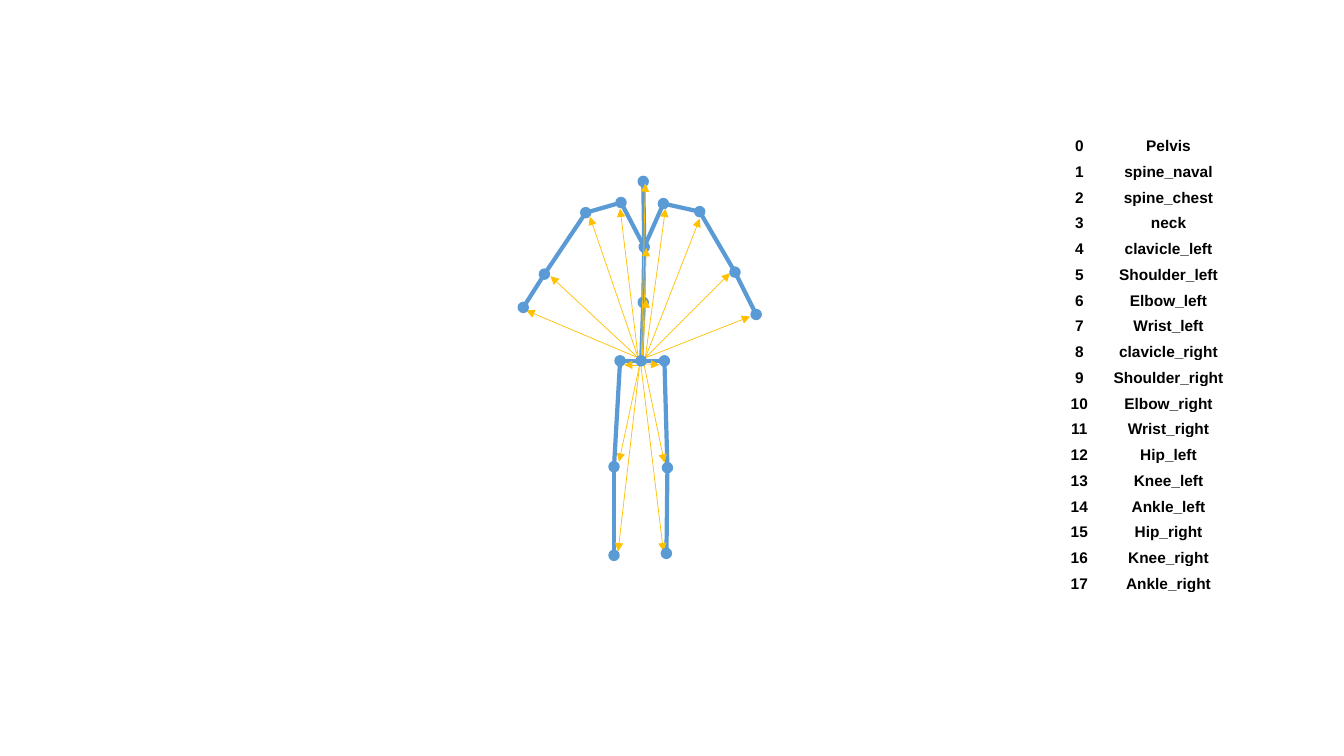
from lxml import etree
from pptx import Presentation
from pptx.dml.color import RGBColor
from pptx.enum.shapes import MSO_CONNECTOR, MSO_SHAPE
from pptx.enum.text import PP_ALIGN
from pptx.oxml.ns import qn
from pptx.util import Inches, Pt

BLUE = RGBColor(0x5B, 0x9B, 0xD5)
GOLD = RGBColor(0xFF, 0xC0, 0x00)
BLACK = RGBColor(0x00, 0x00, 0x00)
LINE = MSO_CONNECTOR.STRAIGHT
ROUND = MSO_SHAPE.FLOWCHART_CONNECTOR
CENTER = PP_ALIGN.CENTER
UNIT = Inches(0.01)
COLS, ROWS = 1333, 750

JOINTS = {
    "wrist_l": (519, 305), "elbow_l": (540, 272), "arm_l": (581, 211),
    "clav_l": (616, 201), "hip_l": (615, 358), "knee_l": (609, 463),
    "foot_l": (609, 551), "wrist_r": (750, 312), "elbow_r": (729, 270),
    "arm_r": (694, 210), "clav_r": (658, 202), "hip_r": (659, 358),
    "knee_r": (662, 464), "foot_r": (661, 549), "head": (638, 180),
    "chest": (639, 245), "naval": (638, 300), "pelvis": (636, 358),
}
CHAINS = [
    ["head", "chest", "naval", "pelvis"],
    ["chest", "clav_l", "arm_l", "elbow_l", "wrist_l"],
    ["chest", "clav_r", "arm_r", "elbow_r", "wrist_r"],
    ["pelvis", "hip_l", "knee_l", "foot_l"],
    ["pelvis", "hip_r", "knee_r", "foot_r"],
]
LIMB_RAYS = [
    ((633, 355), [(522, 308), (546, 274), (585, 215), (615, 207)]),
    ((640, 355), [(660, 207), (694, 217), (724, 271), (744, 314)]),
    ((633, 362), [(619, 362)]),
    ((640, 361), [(654, 362)]),
    ((635, 359), [(614, 458)]),
    ((638, 358), [(659, 459)]),
    ((635, 357), [(613, 547), (658, 547)]),
]
TRUNK_RAYS = [
    ((636, 358), [(640, 182)]),
    ((637, 356), [(641, 246), (641, 297)]),
]
NAMES = [
    "Pelvis", "spine_naval", "spine_chest", "neck",
    "clavicle_left", "Shoulder_left", "Elbow_left", "Wrist_left",
    "clavicle_right", "Shoulder_right", "Elbow_right", "Wrist_right",
    "Hip_left", "Knee_left", "Ankle_left",
    "Hip_right", "Knee_right", "Ankle_right",
]


class Sketch:
    """Draws styled elements on one slide, in columns and rows of its grid."""

    def __init__(self, slide):
        self.shapes = slide.shapes
        self.font = "Arial"
        self.size = Pt(11)
        self.dot_size = 10

    def line(self, start, end, color, width):
        ends = [UNIT * n for n in (*start, *end)]
        line = self.shapes.add_connector(LINE, *ends)
        line.line.color.rgb = color
        line.line.width = Pt(width)
        etree.SubElement(line._element.spPr, qn("a:effectLst"))
        return line

    def bone(self, start, end):
        self.line(start, end, BLUE, 3)

    def rays(self, groups):
        for start, tips in groups:
            for tip in tips:
                ray = self.line(start, tip, GOLD, 0.5)
                stroke = ray.line._get_or_add_ln()
                etree.SubElement(stroke, qn("a:tailEnd"), type="triangle")

    def dot(self, center):
        size = self.dot_size
        left, top = [UNIT * (n - size / 2) for n in center]
        dot = self.shapes.add_shape(
            ROUND, int(left), int(top), UNIT * size, UNIT * size)
        dot.shadow.inherit = False
        dot.fill.solid()
        dot.fill.fore_color.rgb = BLUE
        dot.line.color.rgb = BLUE
        dot.line.width = Pt(1)

    def table(self, left, top, widths, height, rows):
        table = self.shapes.add_table(
            len(rows), len(widths), UNIT * left, UNIT * top,
            UNIT * sum(widths), UNIT * height * len(rows)).table
        table.first_row = False
        table.horz_banding = False
        for column, width in zip(table.columns, widths):
            column.width = UNIT * width
        for row, texts in zip(table.rows, rows):
            row.height = UNIT * height
            for cell, text in zip(row.cells, texts):
                self.cell(cell, text)

    def cell(self, cell, text):
        cell.fill.background()
        cell.margin_left = cell.margin_right = UNIT * 7
        cell.margin_top = cell.margin_bottom = 0
        cell.text_frame.text = text
        para = cell.text_frame.paragraphs[0]
        para.alignment = CENTER
        para.line_spacing = 1.5
        font = para.runs[0].font
        font.name = self.font
        font.size = self.size
        font.bold = True
        font.color.rgb = BLACK


def main():
    deck = Presentation()
    deck.slide_width = UNIT * COLS
    deck.slide_height = UNIT * ROWS
    sketch = Sketch(deck.slides.add_slide(deck.slide_layouts[6]))
    for chain in CHAINS:
        for start, end in zip(chain, chain[1:]):
            sketch.bone(JOINTS[start], JOINTS[end])
    rows = [(str(index), name) for index, name in enumerate(NAMES)]
    sketch.table(1050, 128, (41, 136), 22, rows)
    sketch.rays(LIMB_RAYS)
    for name, center in JOINTS.items():
        if name != "pelvis":
            sketch.dot(center)
    sketch.rays(TRUNK_RAYS)
    sketch.dot(JOINTS["pelvis"])
    deck.save("out.pptx")


if __name__ == "__main__":
    main()
